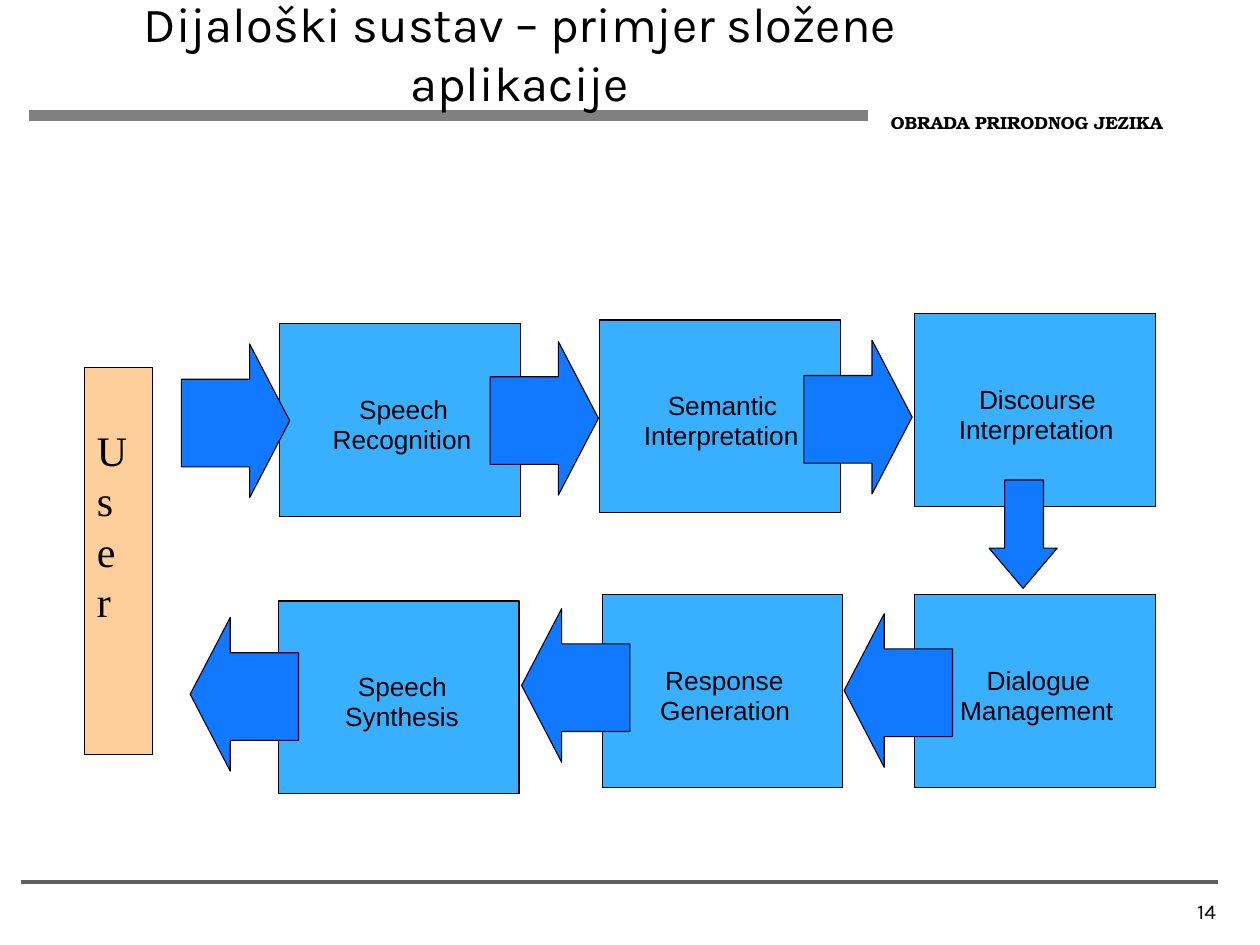
from enum import Enum
from typing import NamedTuple

from lxml.etree import SubElement
from pptx import Presentation
from pptx.dml.color import RGBColor
from pptx.enum.shapes import MSO_CONNECTOR, MSO_SHAPE
from pptx.enum.text import MSO_ANCHOR, MSO_AUTO_SIZE, PP_ALIGN
from pptx.oxml.ns import qn
from pptx.util import Inches, Pt

# The slide is a grid of 100 columns by 75 rows
COLUMNS, ROWS = 100, 75
SLIDE_WIDTH, SLIDE_HEIGHT = Inches(10), Inches(7.5)

BLACK = RGBColor(0x00, 0x00, 0x00)
BAR_GREY = RGBColor(0x80, 0x80, 0x80)
RULE_GREY = RGBColor(0x5F, 0x5F, 0x5F)
STAGE_BLUE = RGBColor(0x38, 0xB0, 0xFF)
ARROW_BLUE = RGBColor(0x10, 0x79, 0xFF)
USER_PEACH = RGBColor(0xFF, 0xCF, 0x9B)

OUTLINE = Pt(0.62)
STAGE_WIDTH, STAGE_HEIGHT = 19.1, 15.3
LABEL_TOP, LABEL_PITCH, LABEL_HEIGHT = 5.5, 2.4, 2.5

# Arrow outline as shares (along, across) of its length and breadth
ARROW_OUTLINE = [(0.63, 1), (0.63, 0.8), (0, 0.8), (0, 0.23),
                 (0.63, 0.23), (0.63, 0), (1, 0.5)]


class Direction(Enum):
    RIGHT = "right"
    LEFT = "left"
    DOWN = "down"


class Area(NamedTuple):
    column: float
    row: float
    width: float
    height: float


class Label(NamedTuple):
    text: str
    column: float
    width: float


class Stage(NamedTuple):
    column: float
    row: float
    labels: tuple[Label, Label]


class Arrow(NamedTuple):
    column: float
    row: float
    direction: Direction


STAGES = [
    Stage(22.1, 47.7, (Label("Speech", 28.4, 7.7), Label("Synthesis", 27.4, 9.3))),
    Stage(22.2, 25.7, (Label("Speech", 28.5, 7.7), Label("Recognition", 26.4, 11.2))),
    Stage(47.6, 25.4, (Label("Semantic", 53, 9.3), Label("Interpretation", 51.1, 12.5))),
    Stage(47.8, 47.2, (Label("Response", 52.8, 10), Label("Generation", 52.4, 10.6))),
    Stage(72.6, 47.2, (Label("Dialogue", 78.3, 8.8), Label("Management", 76.2, 12.5))),
    Stage(72.6, 24.9, (Label("Discourse", 77.7, 9.9), Label("Interpretation", 76.1, 12.5))),
]

ARROWS = [
    Arrow(38.9, 27.1, Direction.RIGHT),
    Arrow(63.8, 27, Direction.RIGHT),
    Arrow(78.5, 38.1, Direction.DOWN),
    Arrow(67, 48.7, Direction.LEFT),
    Arrow(41.4, 48.3, Direction.LEFT),
    Arrow(15.1, 49, Direction.LEFT),
    Arrow(14.4, 27.3, Direction.RIGHT),
]


def across(columns: float) -> int:
    return round(SLIDE_WIDTH * columns / COLUMNS)


def down(rows: float) -> int:
    return round(SLIDE_HEIGHT * rows / ROWS)


def place(area: Area) -> tuple[int, int, int, int]:
    return across(area.column), down(area.row), across(area.width), down(area.height)


def add_span(para, text: str, font: str, size: float, bold: bool = False) -> None:
    span = para.add_run()
    span.text = text
    span.font.name = font
    span.font.size = Pt(size)
    span.font.bold = bold
    span.font.color.rgb = BLACK


def add_text(page, area: Area, text: str, font: str, size: float, bold: bool = False,
             align=PP_ALIGN.LEFT, tight: bool = False) -> None:
    frame = page.shapes.add_textbox(*place(area)).text_frame
    frame.word_wrap = not tight
    if tight:
        frame.auto_size = MSO_AUTO_SIZE.SHAPE_TO_FIT_TEXT
        frame.margin_left = frame.margin_right = 0
        frame.margin_top = frame.margin_bottom = 0
    para = frame.paragraphs[0]
    para.alignment = align
    add_span(para, text, font, size, bold)


def add_rule(page, start: tuple[float, float], end: tuple[float, float],
             color: RGBColor, width: float) -> None:
    rule = page.shapes.add_connector(MSO_CONNECTOR.STRAIGHT, across(start[0]), down(start[1]),
                                     across(end[0]), down(end[1]))
    rule.line.color.rgb = color
    rule.line.width = Pt(width)
    SubElement(rule._element.spPr, qn("a:effectLst"))


def paint(shape, fill: RGBColor) -> None:
    shape.shadow.inherit = False
    shape.fill.solid()
    shape.fill.fore_color.rgb = fill
    shape.line.color.rgb = BLACK
    shape.line.width = OUTLINE


def add_box(page, area: Area, fill: RGBColor):
    box = page.shapes.add_shape(MSO_SHAPE.RECTANGLE, *place(area))
    paint(box, fill)
    return box


def add_stage(page, stage: Stage) -> None:
    add_box(page, Area(stage.column, stage.row, STAGE_WIDTH, STAGE_HEIGHT), STAGE_BLUE)
    for index, label in enumerate(stage.labels):
        row = stage.row + LABEL_TOP + index * LABEL_PITCH
        add_text(page, Area(label.column, row, label.width, LABEL_HEIGHT),
                 label.text, "Arial", 15, tight=True)


def add_arrow(page, arrow: Arrow) -> None:
    if arrow.direction is Direction.DOWN:
        width, height = 5.4, 8.6
        shares = [(side, along) for along, side in ARROW_OUTLINE]
    else:
        width, height = 8.6, 12.2
        mirrored = arrow.direction is Direction.LEFT
        shares = [(1 - along if mirrored else along, side) for along, side in ARROW_OUTLINE]
    points = [(across(arrow.column + x * width), down(arrow.row + y * height))
              for x, y in shares]
    builder = page.shapes.build_freeform(*points[0])
    builder.add_line_segments(points[1:], close=True)
    paint(builder.convert_to_shape(), ARROW_BLUE)


def add_user(page) -> None:
    box = add_box(page, Area(6.7, 29.2, 5.4, 30.7), USER_PEACH)
    frame = box.text_frame
    frame.word_wrap = True
    frame.vertical_anchor = MSO_ANCHOR.TOP
    frame.margin_top = down(4.5)
    frame.margin_right = across(1.4)  # leaves room for one letter per line
    para = frame.paragraphs[0]
    para.alignment = PP_ALIGN.LEFT
    para.line_spacing = Pt(28.8)
    add_span(para, "Us e r", "Times New Roman", 24)


def format_title(page) -> None:
    title = page.shapes.title
    title.left, title.top, title.width, title.height = place(Area(3.3, 0, 75.9, 8.3))
    frame = title.text_frame
    frame.auto_size = MSO_AUTO_SIZE.NONE
    frame.vertical_anchor = MSO_ANCHOR.MIDDLE
    para = frame.paragraphs[0]
    para.alignment = PP_ALIGN.CENTER
    add_span(para, "Dijaloški sustav – primjer složene aplikacije", "Karla", 28)
    page.shapes._spTree.append(title._element)  # bring in front of the header bar


def main() -> None:
    deck = Presentation()
    deck.slide_width, deck.slide_height = SLIDE_WIDTH, SLIDE_HEIGHT
    page = deck.slides.add_slide(deck.slide_layouts[5])

    # Header, footer and title
    add_rule(page, (68.9, 9.15), (2.3, 9.15), BAR_GREY, 6)
    add_text(page, Area(69.7, 8.4, 24.9, 2.7), "OBRADA PRIRODNOG JEZIKA",
             "TeX Gyre Bonum", 10, bold=True)
    add_rule(page, (96.7, 70), (1.7, 70), RULE_GREY, 2.25)
    add_text(page, Area(76.7, 70.8, 20.8, 4.2), "14", "Karla", 12, align=PP_ALIGN.RIGHT)
    format_title(page)

    # Dialogue loop
    for stage in STAGES:
        add_stage(page, stage)
    for arrow in ARROWS:
        add_arrow(page, arrow)
    add_user(page)

    deck.save("out.pptx")


if __name__ == "__main__":
    main()
